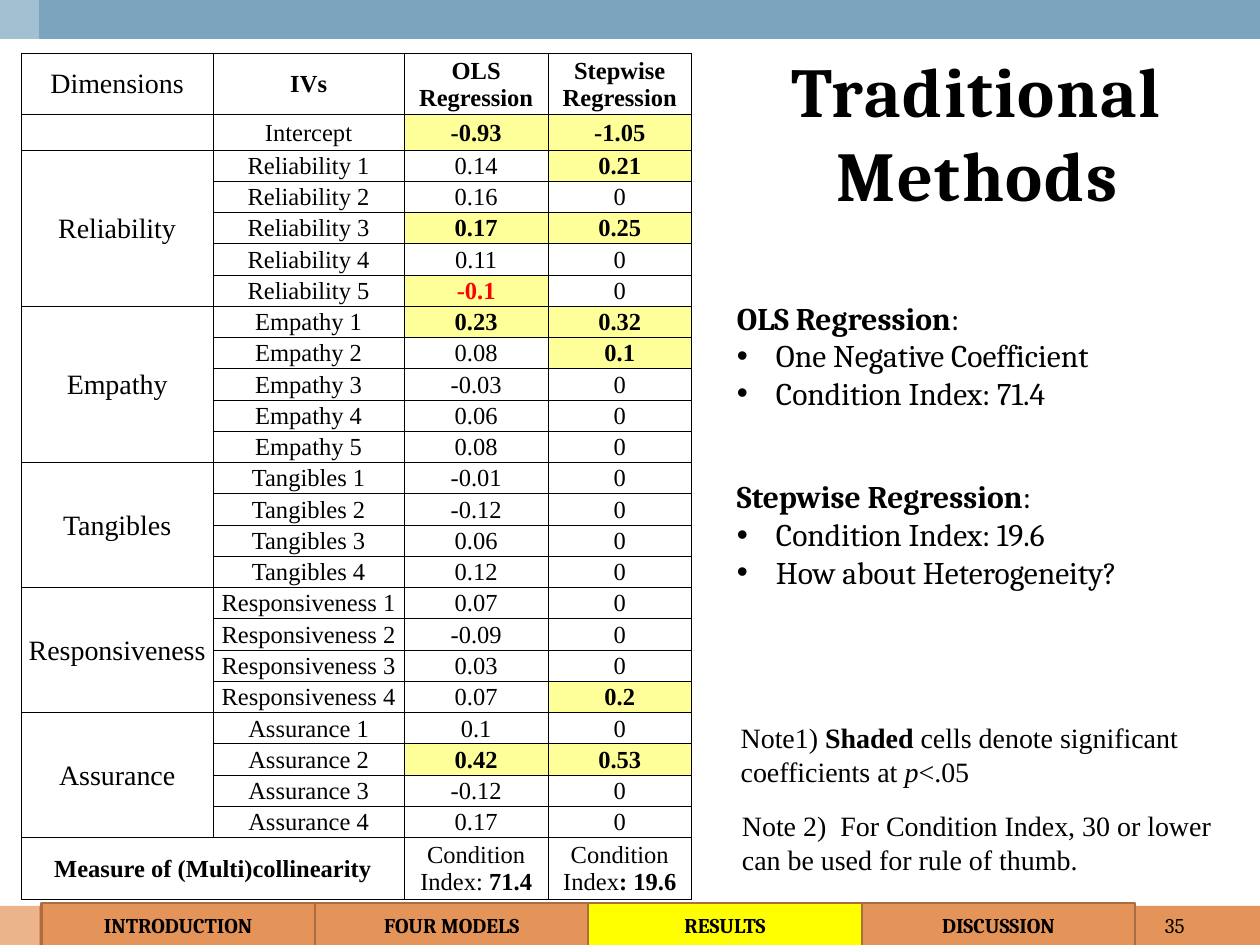
from dataclasses import dataclass

from lxml import etree
from pptx import Presentation
from pptx.dml.color import RGBColor
from pptx.enum.shapes import MSO_SHAPE
from pptx.enum.text import MSO_ANCHOR, MSO_AUTO_SIZE, PP_ALIGN
from pptx.oxml.ns import qn
from pptx.util import Inches, Pt

RECTANGLE = MSO_SHAPE.RECTANGLE
MIDDLE = MSO_ANCHOR.MIDDLE
LEFT, CENTER, RIGHT = PP_ALIGN.LEFT, PP_ALIGN.CENTER, PP_ALIGN.RIGHT


@dataclass(frozen=True)
class Theme:
    serif: str = "Cambria"
    table_font: str = "Times New Roman"
    black: str = "000000"
    white: str = "FFFFFF"
    blue: str = "7BA5BE"
    orange: str = "E49458"
    tab_line: str = "A96D41"
    active_tab: str = "FFFF00"
    shaded: str = "FFFF99"
    negative: str = "FF0000"
    title_size: int = 40
    body_size: int = 18
    label_size: int = 16
    cell_size: int = 14
    small_size: int = 12


THEME = Theme()


def write(paragraph, runs, size, name=THEME.serif, color=THEME.black, align=LEFT):
    """Fill a paragraph with (text, font overrides) pairs."""
    paragraph.alignment = align
    for text, overrides in runs:
        run = paragraph.add_run()
        run.text = text
        values = {"name": name, "size": Pt(size), "bold": False, **overrides}
        for attribute, value in values.items():
            setattr(run.font, attribute, value)
        run.font.color.rgb = RGBColor.from_string(color)


def add_rectangle(slide, left, top, width, height, fill):
    shape = slide.shapes.add_shape(
        RECTANGLE, Inches(left), Inches(top), Inches(width), Inches(height))
    shape.shadow.inherit = False
    shape.fill.solid()
    shape.fill.fore_color.rgb = RGBColor.from_string(fill)
    shape.line.fill.background()
    return shape


BOLD = {"bold": True}
ITALIC = {"italic": True}

presentation = Presentation()
presentation.slide_width = Inches(10)
presentation.slide_height = Inches(7.5)
slide = presentation.slides.add_slide(presentation.slide_layouts[5])

# Background bars with a translucent strip over their left end
add_rectangle(slide, 0, 7.19, 10, 0.31, THEME.orange)
add_rectangle(slide, 0, 0, 10, 0.31, THEME.blue)
strip = add_rectangle(slide, 0, 0, 0.31, 7.5, THEME.white)
strip_color = strip.fill._xPr.find(qn("a:solidFill"))[0]
etree.SubElement(strip_color, qn("a:alpha")).set("val", "30000")

# Title
title = slide.shapes.title
title.left, title.top = Inches(5.67), Inches(0.42)
title.width, title.height = Inches(4.17), Inches(1.25)
title.text_frame.auto_size = MSO_AUTO_SIZE.NONE
title.text_frame.vertical_anchor = MIDDLE
title_paragraph = title.text_frame.paragraphs[0]
write(title_paragraph, [("Traditional Methods", BOLD)], THEME.title_size, align=CENTER)
title_paragraph.runs[0].font._element.set("spc", "100")

# Coefficient table: a trailing * marks a significant coefficient
HEADINGS = ["Dimensions", "IVs", "OLS Regression", "Stepwise Regression"]
DIMENSIONS = {
    "Reliability": [("0.14", "0.21*"), ("0.16", "0"), ("0.17*", "0.25*"),
                    ("0.11", "0"), ("-0.1*", "0")],
    "Empathy": [("0.23*", "0.32*"), ("0.08", "0.1*"), ("-0.03", "0"),
                ("0.06", "0"), ("0.08", "0")],
    "Tangibles": [("-0.01", "0"), ("-0.12", "0"), ("0.06", "0"), ("0.12", "0")],
    "Responsiveness": [("0.07", "0"), ("-0.09", "0"), ("0.03", "0"), ("0.07", "0.2*")],
    "Assurance": [("0.1", "0"), ("0.42*", "0.53*"), ("-0.12", "0"), ("0.17", "0")],
}
rows = [("", "Intercept", "-0.93*", "-1.05*")]
spans = []
for dimension, coefficients in DIMENSIONS.items():
    spans.append((len(rows) + 1, len(rows) + len(coefficients)))
    for number, pair in enumerate(coefficients, 1):
        label = dimension if number == 1 else ""
        rows.append((label, f"{dimension} {number}", *pair))

TABLE_HEIGHT, END_HEIGHT, INTERCEPT_HEIGHT = 6.72, 0.49, 0.28
last = len(rows) + 1
row_height = (TABLE_HEIGHT - 2 * END_HEIGHT - INTERCEPT_HEIGHT) / (len(rows) - 1)
heights = [END_HEIGHT, INTERCEPT_HEIGHT] + [row_height] * (len(rows) - 1) + [END_HEIGHT]
table = slide.shapes.add_table(
    last + 1, 4, Inches(0.17), Inches(0.42), Inches(5.33), Inches(TABLE_HEIGHT)).table
table.first_row = table.horz_banding = False
for column, width in zip(table.columns, [1.52, 1.52, 1.14, 1.14]):
    column.width = Inches(width)
for row, height in zip(table.rows, heights):
    row.height = Inches(height)

CELL_FORMAT = {"vertical_anchor": MIDDLE, "margin_left": Inches(0.01),
               "margin_right": Inches(0.01), "margin_top": Inches(0.01),
               "margin_bottom": 0}
for cell in table.iter_cells():
    for attribute, value in CELL_FORMAT.items():
        setattr(cell, attribute, value)
    properties = cell._tc.get_or_add_tcPr()
    for side in ("lnL", "lnR", "lnT", "lnB"):
        border = etree.SubElement(properties, qn(f"a:{side}"), w=str(Pt(0.5)))
        border_fill = etree.SubElement(border, qn("a:solidFill"))
        etree.SubElement(border_fill, qn("a:srgbClr"), val=THEME.black)
    cell.fill.background()
    end_format = cell.text_frame.paragraphs[0]._p.get_or_add_endParaRPr()
    end_format.set("sz", str(THEME.cell_size * 100))

for column_index, heading in enumerate(HEADINGS):
    is_label = column_index == 0
    write(table.cell(0, column_index).text_frame.paragraphs[0],
          [(heading, {"bold": not is_label})],
          THEME.label_size if is_label else THEME.cell_size,
          THEME.table_font, align=CENTER)

for row_index, values in enumerate(rows, 1):
    for column_index, value in enumerate(values):
        if not value:
            continue
        cell = table.cell(row_index, column_index)
        significant = value.endswith("*")
        wrong_sign = significant and value.startswith("-") and row_index > 1
        if significant:
            cell.fill.solid()
            cell.fill.fore_color.rgb = RGBColor.from_string(THEME.shaded)
        write(cell.text_frame.paragraphs[0], [(value.rstrip("*"), {"bold": significant})],
              THEME.cell_size if column_index else THEME.label_size, THEME.table_font,
              THEME.negative if wrong_sign else THEME.black, CENTER)

for first_row, last_row in spans:
    table.cell(first_row, 0).merge(table.cell(last_row, 0))
table.cell(last, 0).merge(table.cell(last, 1))
SUMMARY = {
    0: [("Measure of (Multi)collinearity", BOLD)],
    2: [("Condition Index: ", {}), ("71.4", BOLD)],
    3: [("Condition Index", {}), (": 19.6", BOLD)],
}
for column_index, runs in SUMMARY.items():
    write(table.cell(last, column_index).text_frame.paragraphs[0], runs,
          THEME.cell_size, THEME.table_font, align=CENTER)

# Findings, notes and slide number: position, paragraphs, format
body = {"size": THEME.body_size}
note = {"size": THEME.label_size, "name": THEME.table_font}
TEXT_BOXES = [
    ((5.75, 2.32, 4.08, 1.01), [
        [("OLS Regression", BOLD), (":", {})],
        "One Negative Coefficient", "Condition Index: 71.4"], body),
    ((5.75, 3.74, 4.08, 1.01), [
        [("Stepwise Regression", BOLD), (":", {})],
        "Condition Index: 19.6", "How about Heterogeneity?"], body),
    ((5.78, 5.67, 4.22, 0.64), [
        [("Note1)", {}), (" Shaded ", BOLD),
         ("cells denote significant coefficients at ", {}),
         ("p", ITALIC), ("<.05", {})]], note),
    ((5.79, 6.37, 4.13, 0.64), [
        [("Note 2)  For Condition Index, 30 or lower can be used for rule of thumb.", {})]],
     note),
    ((7.17, 7.19, 2.33, 0.31), [[("35", {})]],
     {"size": THEME.small_size, "align": RIGHT}),
]
for position, paragraphs, text_format in TEXT_BOXES:
    frame = slide.shapes.add_textbox(*map(Inches, position)).text_frame
    frame.word_wrap = True
    frame.vertical_anchor = MIDDLE if text_format.get("align") == RIGHT else MSO_ANCHOR.TOP
    for index, content in enumerate(paragraphs):
        paragraph = frame.add_paragraph() if index else frame.paragraphs[0]
        if isinstance(content, str):
            properties = paragraph._p.get_or_add_pPr()
            properties.set("marL", str(Inches(0.31)))
            properties.set("indent", str(-Inches(0.31)))
            etree.SubElement(properties, qn("a:buFont"), typeface="Arial")
            etree.SubElement(properties, qn("a:buChar"), char="•")
            content = [(content, {})]
        write(paragraph, content, **text_format)

# Section tabs
TAB_WIDTH = 2.17
for index, section in enumerate(["INTRODUCTION", "FOUR MODELS", "RESULTS", "DISCUSSION"]):
    fill = THEME.active_tab if section == "RESULTS" else THEME.orange
    tab = add_rectangle(slide, 0.33 + index * TAB_WIDTH, 7.17, TAB_WIDTH, 0.34, fill)
    tab.line.color.rgb = RGBColor.from_string(THEME.tab_line)
    tab.line.width = Pt(1.25)
    tab.text_frame.vertical_anchor = MIDDLE
    write(tab.text_frame.paragraphs[0], [(section, BOLD)], THEME.small_size, align=CENTER)

presentation.save("out.pptx")
